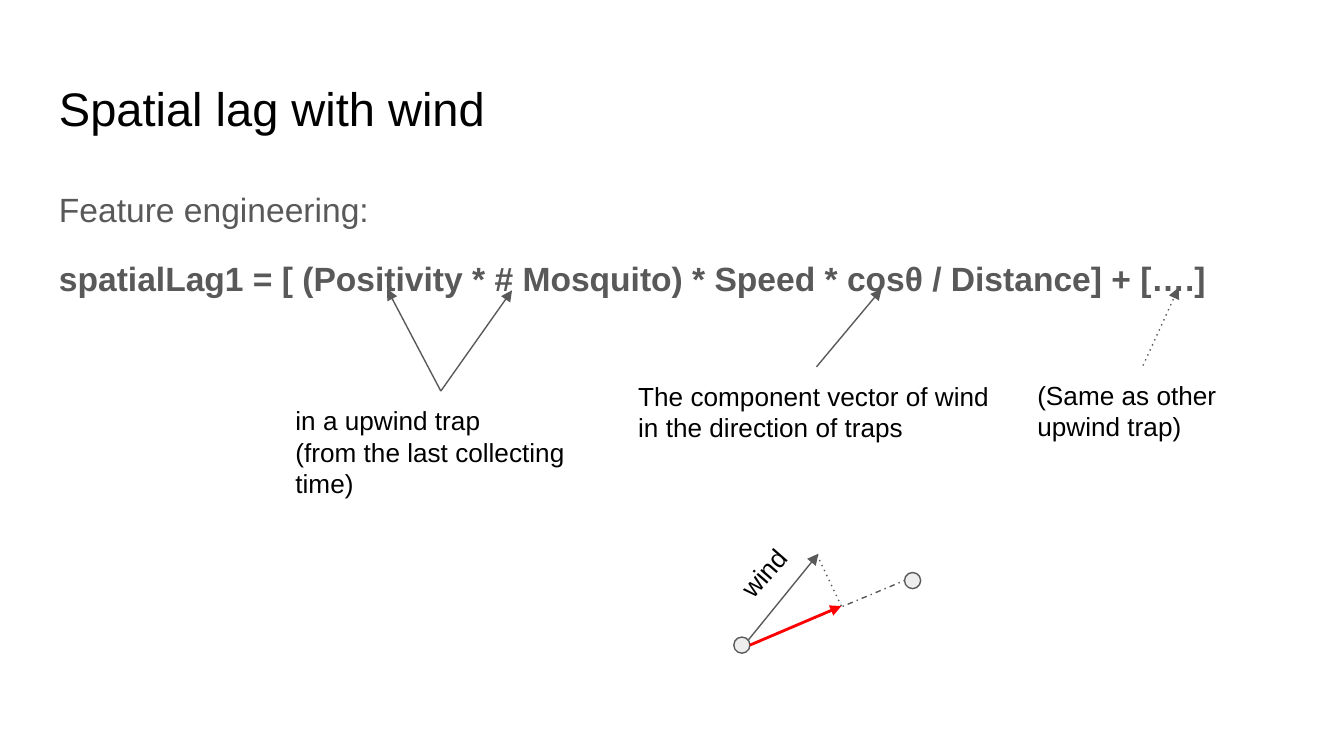
import pptx
import pptx.dml.color
import pptx.enum.shapes
import pptx.enum.text
import pptx.oxml.ns
import pptx.util
from lxml import etree

Inches = pptx.util.Inches
Pt = pptx.util.Pt

THEME = {
    "font": "Arial",
    "title_size": 25.2, "body_size": 18, "note_size": 14,
    "black": "000000", "gray": "595959", "red": "FF0000", "node": "EEEEEE",
    "thin": 0.75, "thick": 1.5,
}

SLIDE_WIDTH = 10
ASPECT_RATIO = 16 / 9

TITLE = "Spatial lag with wind"
TITLE_BOX = (0.34, 0.49, 9.32, 0.63)
FEATURE_LABEL = "Feature engineering:"
FORMULA = "spatialLag1 = [ (Positivity * # Mosquito) * Speed * cosθ / Distance] + [….]"
BODY_BOX = (0.34, 1.26, 9.32, 3.74)

# Each note: lines, box, arrow tips in the formula, dash of its arrows
NOTES = [
    (["in a upwind trap", "(from the last collecting time)"],
     (2.1, 2.91, 2.36, 0.91), [(2.88, 2.15), (3.81, 2.16)], None),
    (["(Same as other upwind trap)"],
     (7.62, 2.72, 1.77, 0.67), [(8.77, 2.14)], "dot"),
    (["The component vector of wind in the direction of traps"],
     (4.65, 2.73, 2.85, 0.67), [(6.56, 2.15)], None),
]

TRAP_SIZE = 0.12
TRAPS = [(6.73, 4.26), (5.46, 4.74)]
# Each vector: start, end, colour, width, dash, has an arrowhead
VECTORS = [
    ((5.57, 4.76), (6.09, 4.12), "gray", "thin", None, True),
    ((5.58, 4.8), (6.73, 4.32), "gray", "thin", "dashDot", False),
    ((6.08, 4.13), (6.27, 4.53), "gray", "thin", "dot", False),
    ((5.58, 4.8), (6.26, 4.51), "red", "thick", None, True),
]
WIND_LABEL = "wind"
WIND_BOX = (5.35, 3.97, 0.79, 0.44)
WIND_ROTATION = 311.1


def color(name):
    return pptx.dml.color.RGBColor.from_string(THEME[name])


def add_text(slide, lines, box, size, color_name, grow=False):
    shape = slide.shapes.add_textbox(*map(Inches, box))
    frame = shape.text_frame
    frame.word_wrap = True
    frame.margin_left = frame.margin_right = Inches(0.1)
    frame.margin_top = frame.margin_bottom = Inches(0.1)
    frame.text = "\n".join(lines)
    if grow:
        frame.auto_size = pptx.enum.text.MSO_AUTO_SIZE.SHAPE_TO_FIT_TEXT
    for paragraph in frame.paragraphs:
        for run in paragraph.runs:
            run.font.name = THEME["font"]
            run.font.size = Pt(THEME[size])
            run.font.color.rgb = color(color_name)
    return shape


def add_line(slide, start, end, color_name="gray", width="thin", dash=None, arrow=True):
    connector = slide.shapes.add_connector(
        pptx.enum.shapes.MSO_CONNECTOR.STRAIGHT, *map(Inches, (*start, *end)))
    connector.line.color.rgb = color(color_name)
    connector.line.width = Pt(THEME[width])
    properties = connector._element.spPr
    line = properties.find(pptx.oxml.ns.qn("a:ln"))
    if dash:
        etree.SubElement(line, pptx.oxml.ns.qn("a:prstDash"), val=dash)
    if arrow:
        etree.SubElement(line, pptx.oxml.ns.qn("a:tailEnd"), type="triangle")
    etree.SubElement(properties, pptx.oxml.ns.qn("a:effectLst"))
    return connector


def add_body(slide):
    body = add_text(slide, [FEATURE_LABEL, FORMULA], BODY_BOX, "body_size", "gray")
    label, formula = body.text_frame.paragraphs
    label.line_spacing = formula.line_spacing = 1.15
    formula.space_before = Pt(12)
    formula.runs[0].font.bold = True


def add_notes(slide):
    for lines, box, tips, dash in NOTES:
        note = add_text(slide, lines, box, "note_size", "black", grow=True)
        left, top, width, _ = box
        for tip in tips:
            arrow = add_line(slide, (left + width / 2, top), tip, dash=dash)
            arrow.begin_connect(note, 0)


def add_wind_diagram(slide):
    for left, top in TRAPS:
        trap = slide.shapes.add_shape(
            pptx.enum.shapes.MSO_SHAPE.OVAL,
            *map(Inches, (left, top, TRAP_SIZE, TRAP_SIZE)))
        trap.shadow.inherit = False
        trap.fill.solid()
        trap.fill.fore_color.rgb = color("node")
        trap.line.color.rgb = color("gray")
        trap.line.width = Pt(THEME["thin"])
    for vector in VECTORS:
        add_line(slide, *vector)
    label = add_text(slide, [WIND_LABEL], WIND_BOX, "note_size", "black", grow=True)
    label.rotation = WIND_ROTATION


def main():
    presentation = pptx.Presentation()
    presentation.slide_width = Inches(SLIDE_WIDTH)
    presentation.slide_height = Inches(SLIDE_WIDTH / ASPECT_RATIO)
    slide = presentation.slides.add_slide(presentation.slide_layouts[6])
    add_text(slide, [TITLE], TITLE_BOX, "title_size", "black")
    add_body(slide)
    add_notes(slide)
    add_wind_diagram(slide)
    presentation.save("out.pptx")


if __name__ == "__main__":
    main()
